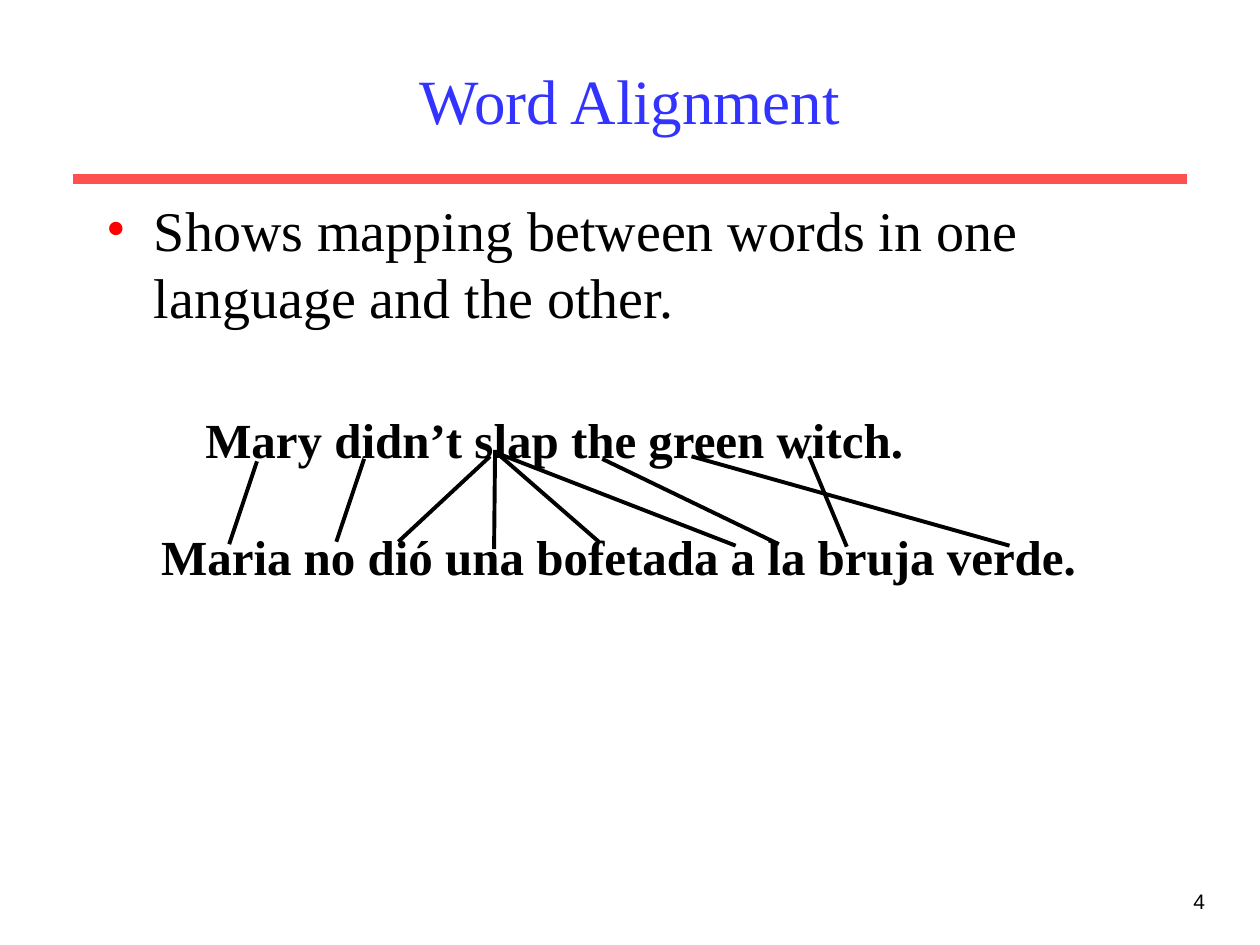
from dataclasses import dataclass

import pptx
import pptx.dml.color
import pptx.enum.shapes
import pptx.enum.text
import pptx.oxml.ns
import pptx.util
from lxml import etree
from pptx.util import Cm, Pt

Align = pptx.enum.text.PP_ALIGN
Anchor = pptx.enum.text.MSO_ANCHOR


@dataclass(frozen=True)
class Theme:
    serif: str = "Times New Roman"
    sans: str = "Arial"
    title: str = "3333FF"
    rule: str = "FF5050"
    bullet: str = "FF0000"
    ink: str = "000000"
    title_size: float = 36
    body_size: float = 32
    sentence_size: float = 28
    number_size: float = 12
    rule_width: float = 6
    link_width: float = 2.25
    line_pitch: float = 1.2


THEME = Theme()

# English word, Spanish word, start (x, y) and end (x, y) in centimetres
ALIGNMENTS = [
    ("Mary", "Maria", (5.18, 9.3), (4.62, 10.97)),
    ("didn’t", "no", (7.34, 9.25), (6.78, 10.92)),
    ("slap", "dió", (9.88, 9.2), (8.03, 10.92)),
    ("slap", "una", (9.98, 9.07), (9.96, 11.07)),
    ("slap", "bofetada", (10.06, 9.17), (12.07, 10.92)),
    ("slap", "a", (9.98, 9.12), (14.83, 11)),
    ("the", "la", (12.14, 9.25), (15.7, 10.97)),
    ("green", "verde", (13.94, 9.2), (20.35, 11)),
    ("witch", "bruja", (16.31, 9.2), (17.07, 11.02)),
]


def color(value):
    return pptx.dml.color.RGBColor.from_string(value)


def place(shape, left, top, width, height):
    shape.left, shape.top = Cm(left), Cm(top)
    shape.width, shape.height = Cm(width), Cm(height)


def write(paragraph, text, *, size, font=THEME.serif, ink=THEME.ink, bold=False,
          align=Align.LEFT, pitch=None, before=0):
    """Fill a paragraph; pitch is the line height as a multiple of the size."""
    paragraph.alignment = align
    paragraph.space_before = Pt(before)
    if pitch:
        paragraph.line_spacing = Pt(size * pitch)
    run = paragraph.add_run()
    run.text = text
    run.font.name, run.font.size, run.font.bold = font, Pt(size), bold
    run.font.color.rgb = color(ink)


def indent(paragraph, left, first=0):
    properties = paragraph._p.get_or_add_pPr()
    properties.set("marL", str(Cm(left)))
    properties.set("indent", str(Cm(first)))
    return properties


def add_bullet(paragraph, ink):
    properties = indent(paragraph, 0.95, -0.95)
    qualify = pptx.oxml.ns.qn
    bullet_color = etree.SubElement(properties, qualify("a:buClr"))
    etree.SubElement(bullet_color, qualify("a:srgbClr"), val=ink)
    etree.SubElement(properties, qualify("a:buFont"), typeface=THEME.serif)
    etree.SubElement(properties, qualify("a:buChar"), char="•")


def add_line(slide, start, end, ink, width):
    line = slide.shapes.add_connector(
        pptx.enum.shapes.MSO_CONNECTOR.STRAIGHT, *map(Cm, start + end))
    line.line.color.rgb = color(ink)
    line.line.width = Pt(width)
    etree.SubElement(line._element.spPr, pptx.oxml.ns.qn("a:effectLst"))


def add_title(slide, text):
    title = slide.shapes.title
    place(title, 1.9, 0.64, 21.6, 2.74)
    title.text_frame.vertical_anchor = Anchor.MIDDLE
    write(title.text_frame.paragraphs[0], text, size=THEME.title_size,
          ink=THEME.title, align=Align.CENTER)


def add_body(slide, text):
    body = slide.placeholders[1]
    place(body, 1.9, 3.81, 21.6, 13.03)
    body.text_frame.auto_size = pptx.enum.text.MSO_AUTO_SIZE.NONE
    paragraph = body.text_frame.paragraphs[0]
    add_bullet(paragraph, THEME.bullet)
    write(paragraph, text, size=THEME.body_size, pitch=THEME.line_pitch)


def add_text_box(slide, left, top, width, height, wrap=True):
    box = slide.shapes.add_textbox(Cm(left), Cm(top), Cm(width), Cm(height))
    box.text_frame.word_wrap = wrap
    return box.text_frame


def add_sentences(slide, english, spanish):
    frame = add_text_box(slide, 3, 8.13, 18.95, 3.81, wrap=False)
    style = dict(size=THEME.sentence_size, bold=True, pitch=THEME.line_pitch)
    first = frame.paragraphs[0]
    indent(first, 0.89)
    write(first, english, **style)
    gap = THEME.sentence_size * THEME.line_pitch
    write(frame.add_paragraph(), spanish, before=gap, **style)


def main():
    presentation = pptx.Presentation()
    presentation.slide_width, presentation.slide_height = Cm(25.4), Cm(19.05)
    slide = presentation.slides.add_slide(presentation.slide_layouts[1])

    add_line(slide, (1.48, 3.61), (23.92, 3.61), THEME.rule, THEME.rule_width)
    add_title(slide, "Word Alignment")
    add_body(slide, "Shows mapping between words in one language and the other.")
    number = add_text_box(slide, 19.25, 17.78, 5.29, 1.27)
    write(number.paragraphs[0], "4", size=THEME.number_size, font=THEME.sans,
          align=Align.RIGHT)
    add_sentences(slide, "Mary didn’t slap the green witch.",
                  "Maria no dió una bofetada a la bruja verde.")
    for _english, _spanish, start, end in ALIGNMENTS:
        add_line(slide, start, end, THEME.ink, THEME.link_width)

    presentation.save("out.pptx")


if __name__ == "__main__":
    main()
